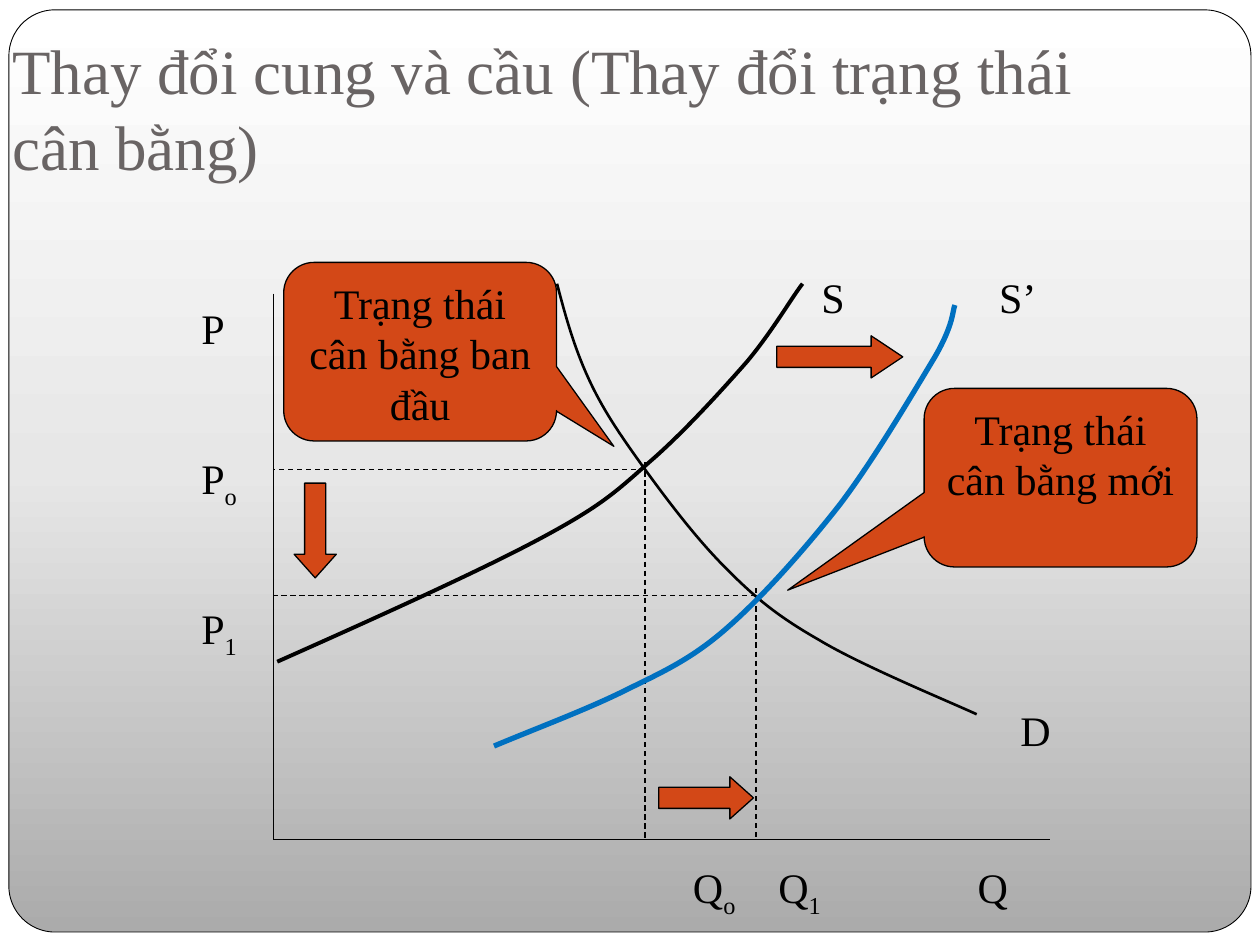
from copy import deepcopy

from lxml import etree
from pptx import Presentation
from pptx.dml.color import RGBColor
from pptx.enum.dml import MSO_LINE
from pptx.enum.shapes import MSO_CONNECTOR, MSO_SHAPE
from pptx.enum.text import MSO_ANCHOR, PP_ALIGN
from pptx.oxml.ns import qn
from pptx.util import Cm, Pt

STRAIGHT, DASH = MSO_CONNECTOR.STRAIGHT, MSO_LINE.DASH
PANEL, CALLOUT = MSO_SHAPE.ROUNDED_RECTANGLE, MSO_SHAPE.ROUNDED_RECTANGULAR_CALLOUT
RIGHT, DOWN = MSO_SHAPE.RIGHT_ARROW, MSO_SHAPE.DOWN_ARROW
TOP, BOTTOM, LEFT, CENTER = MSO_ANCHOR.TOP, MSO_ANCHOR.BOTTOM, PP_ALIGN.LEFT, PP_ALIGN.CENTER

THEME = {
    "font": "Times New Roman", "title_size": 36, "size": 24,
    "title": "696464", "ink": "000000", "paper": "FFFFFF",
    "accent": "D34817", "shifted": "0070C0",
    "gradient": ((0, "ABABAB"), (0.5, "E7E7E7"), (1, "FFFFFF")),
    "hairline": 0.5, "thin": 0.75,
}

TITLE = "Thay đổi cung và cầu (Thay đổi trạng thái cân bằng)"
LABELS = [
    ("P", "", 3.81, 5.97), ("P", "o", 3.81, 9), ("P", "1", 3.81, 12.03),
    ("S", "", 16.31, 5.35), ("S’", "", 19.89, 5.35), ("D", "", 20.32, 14.07),
    ("Q", "o", 13.72, 17.25), ("Q", "1", 15.44, 17.25), ("Q", "", 19.46, 17.25),
]
ORIGIN, AXIS_TOP, AXIS_END = (5.51, 16.93), 5.92, 21.17
EQUILIBRIA = [(13, 9.47, 9.32), (15.24, 12.01, 11.86)]
CURVES = [
    ("ink", 2.25, [
        (5.59, 13.34), (7.59, 12.45), (9.63, 11.53), (10.87, 10.87), (12.14, 10.19),
        (12.42, 9.91), (13.11, 9.3), (13.79, 8.71), (14.55, 7.87), (15.06, 7.29),
        (15.57, 6.68), (15.98, 5.97), (16.18, 5.72)]),
    ("ink", 1.5, [
        (11.23, 5.72), (11.4, 6.38), (11.58, 7.01), (11.86, 7.62), (12.14, 8.23),
        (12.45, 8.69), (12.9, 9.32), (13.36, 9.96), (14, 10.82), (14.61, 11.43),
        (15.21, 12.04), (15.67, 12.42), (16.51, 12.9), (17.35, 13.41), (19.15, 14.15),
        (19.69, 14.4)]),
    ("shifted", 3, [
        (9.96, 15.04), (10.82, 14.68), (11.71, 14.35), (12.5, 13.97), (13.26, 13.59),
        (13.87, 13.34), (14.61, 12.7), (15.34, 12.07), (16.23, 11.07), (16.94, 10.16),
        (17.63, 9.25), (18.44, 7.87), (18.85, 7.19), (19.23, 6.53), (19.2, 6.27),
        (19.25, 6.15)]),
]
ARROWS = [
    (RIGHT, (13.28, 15.66, 1.91, 0.85), (0.5, 0.56)),
    (DOWN, (5.93, 9.74, 0.85, 1.91), (0.5, 0.56)),
    (RIGHT, (15.66, 6.77, 2.54, 0.85), (0.5, 0.75)),
]
CALLOUTS = [
    ("Trạng thái cân bằng mới", (18.63, 7.83, 5.5, 3.6), (-1, 0.63, 0.17)),
    ("Trạng thái cân bằng ban đầu", (5.72, 5.29, 5.5, 3.6), (0.71, 0.53, 0.17)),
]


def color(name):
    return RGBColor.from_string(THEME[name])


def stroke(s, width, name="ink"):
    s.line.color.rgb = color(name)
    s.line.width = Pt(width)


def style(tf, size="size", name="ink", align=LEFT, anchor=TOP):
    tf.word_wrap = True
    tf.vertical_anchor = anchor
    p = tf.paragraphs[0]
    p.alignment = align
    for r in p.runs:
        r.font.name = THEME["font"]
        r.font.size = Pt(THEME[size])
        r.font.color.rgb = color(name)


def add_box(slide, box):
    return slide.shapes.add_textbox(*map(Cm, box)).text_frame


def add_preset(slide, kind, box, adjustments):
    s = slide.shapes.add_shape(kind, *map(Cm, box))
    s.shadow.inherit = False
    for i, value in enumerate(adjustments):
        s.adjustments[i] = value
    s.fill.solid()
    s.fill.fore_color.rgb = color("accent")
    stroke(s, THEME["thin"])
    return s


def add_panel(slide):
    s = add_preset(slide, PANEL, (0.18, 0.2, 25.04, 18.59), (0.05,))
    stroke(s, THEME["hairline"])
    s.fill.gradient()
    s.fill.gradient_angle = 90
    stops = s._element.spPr.find(".//" + qn("a:gsLst"))
    stops.append(deepcopy(stops[0]))
    for stop, (position, rgb) in zip(s.fill.gradient_stops, THEME["gradient"]):
        stop.position = position
        stop.color.rgb = RGBColor.from_string(rgb)


def add_line(slide, start, end, dash=None):
    s = slide.shapes.add_connector(STRAIGHT, *map(Cm, start + end))
    stroke(s, THEME["thin"])
    s.line.dash_style = dash
    etree.SubElement(s._element.spPr, qn("a:effectLst"))


def add_curve(slide, name, width, points):
    start, *rest = [(Cm(x), Cm(y)) for x, y in points]
    builder = slide.shapes.build_freeform(*start)
    builder.add_line_segments(rest, close=False)
    s = builder.convert_to_shape()
    s.shadow.inherit = False
    s.fill.background()
    stroke(s, width, name)
    segments = s._element.spPr.findall(".//" + qn("a:lnTo"))
    for i in range(0, len(segments), 3):
        bezier = etree.SubElement(segments[i].getparent(), qn("a:cubicBezTo"))
        for segment in segments[i:i + 3]:
            bezier.append(segment[0])
            segment.getparent().remove(segment)


def add_label(slide, text, subscript, left, top):
    tf = add_box(slide, (left, top, 1.5, 1.27))
    p = tf.paragraphs[0]
    p.add_run().text = text
    if subscript:
        r = p.add_run()
        r.text = subscript
        r.font._element.set("baseline", "-25000")
    style(tf)


def main():
    """Build the supply and demand equilibrium slide."""
    prs = Presentation()
    prs.slide_width, prs.slide_height = Cm(25.4), Cm(19.05)
    slide = prs.slides.add_slide(prs.slide_layouts[6])
    slide.background.fill.solid()
    slide.background.fill.fore_color.rgb = color("paper")
    add_panel(slide)

    tf = add_box(slide, (0, 0.76, 22.86, 3.18))
    tf.text = TITLE
    tf.margin_bottom = Cm(0.25)
    style(tf, "title_size", "title", anchor=BOTTOM)

    for label in LABELS:
        add_label(slide, *label)
    x0, y0 = ORIGIN
    add_line(slide, (x0, AXIS_TOP), ORIGIN)
    add_line(slide, ORIGIN, (AXIS_END, y0))
    for x, y, top in EQUILIBRIA:
        add_line(slide, (x, top), (x, y0), DASH)
        add_line(slide, (x, y), (x0, y), DASH)
    for curve in CURVES:
        add_curve(slide, *curve)
    for arrow in ARROWS:
        add_preset(slide, *arrow)
    for text, box, adjustments in CALLOUTS:
        tf = add_preset(slide, CALLOUT, box, adjustments).text_frame
        tf.text = text
        style(tf, align=CENTER)
    prs.save("out.pptx")


if __name__ == "__main__":
    main()
